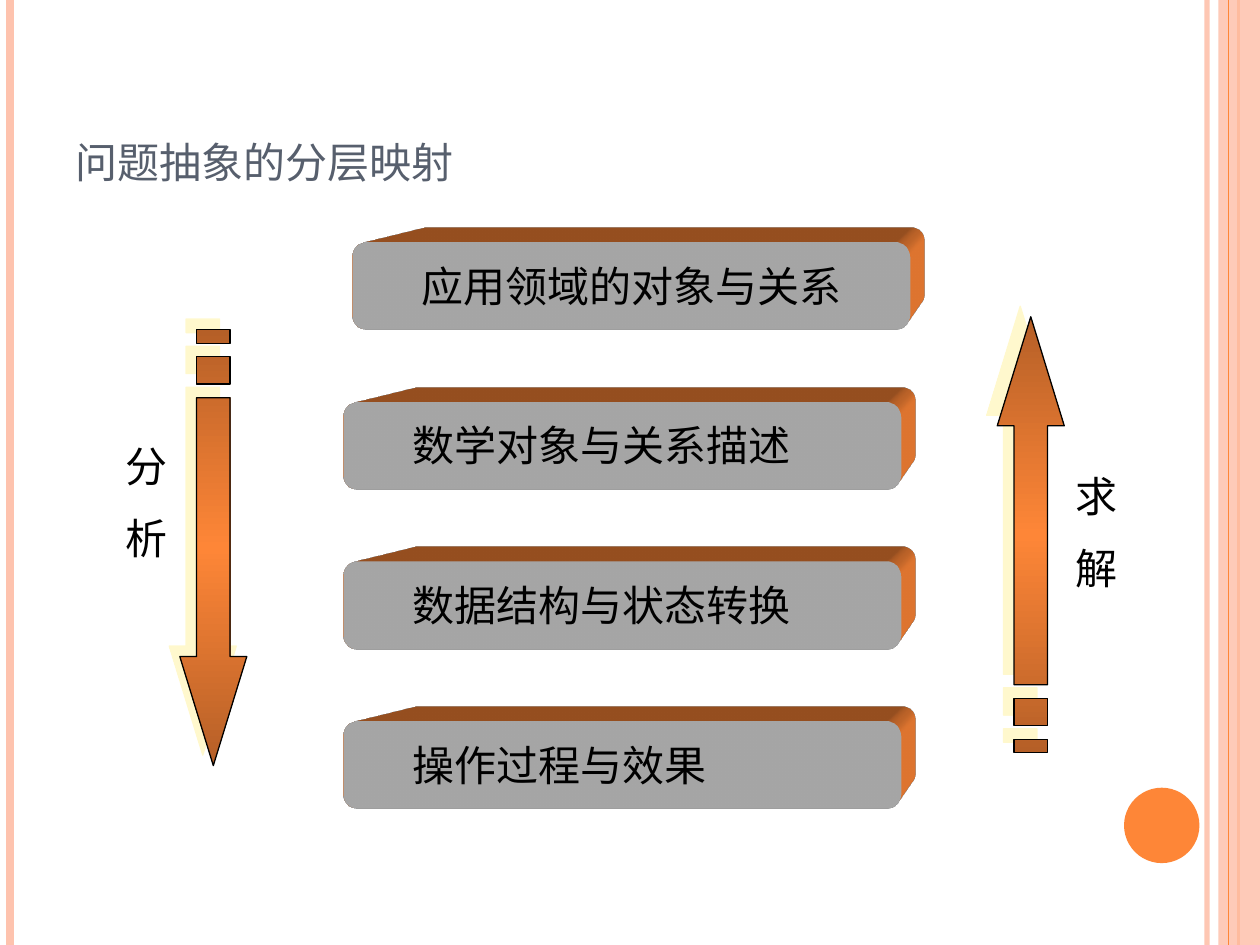
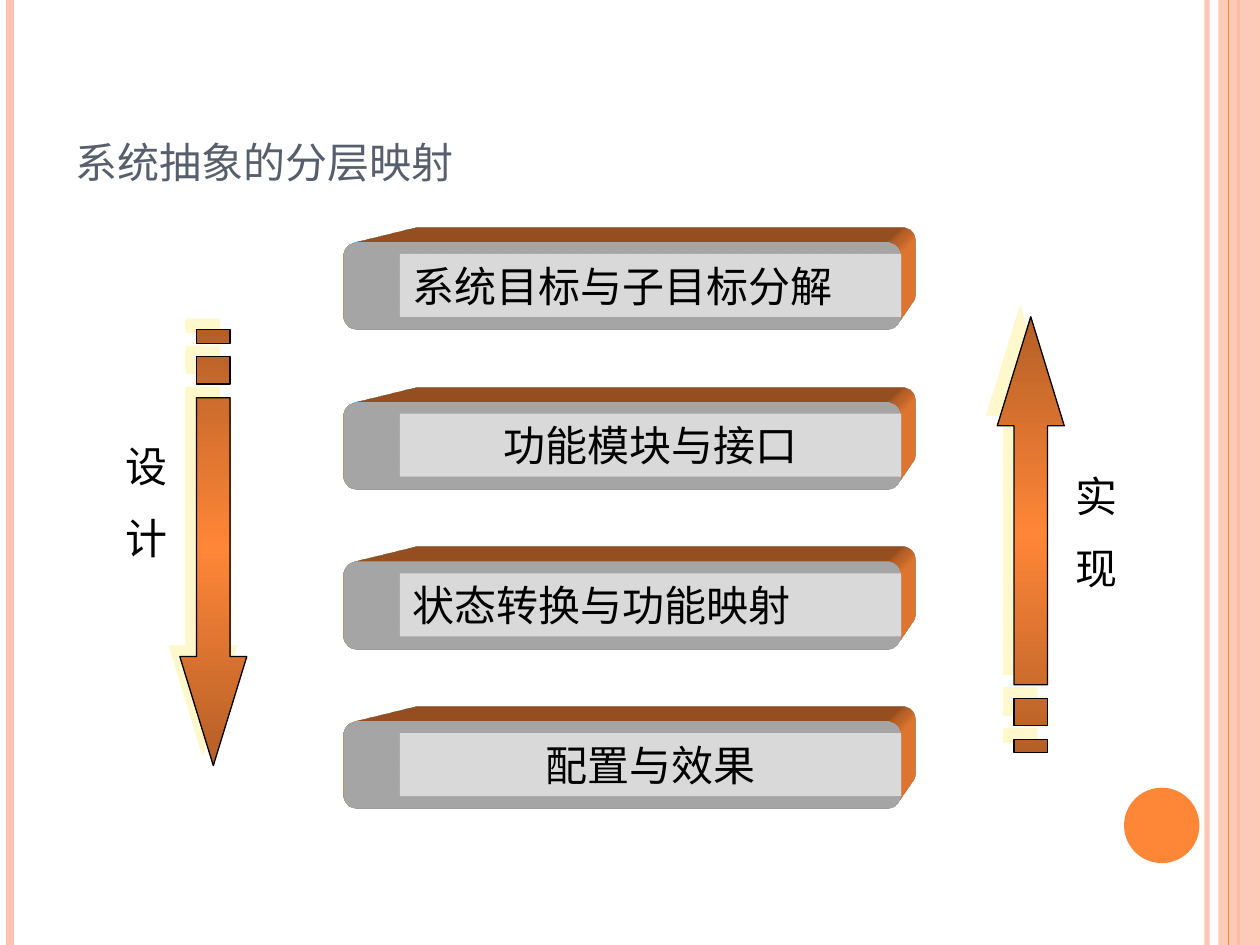
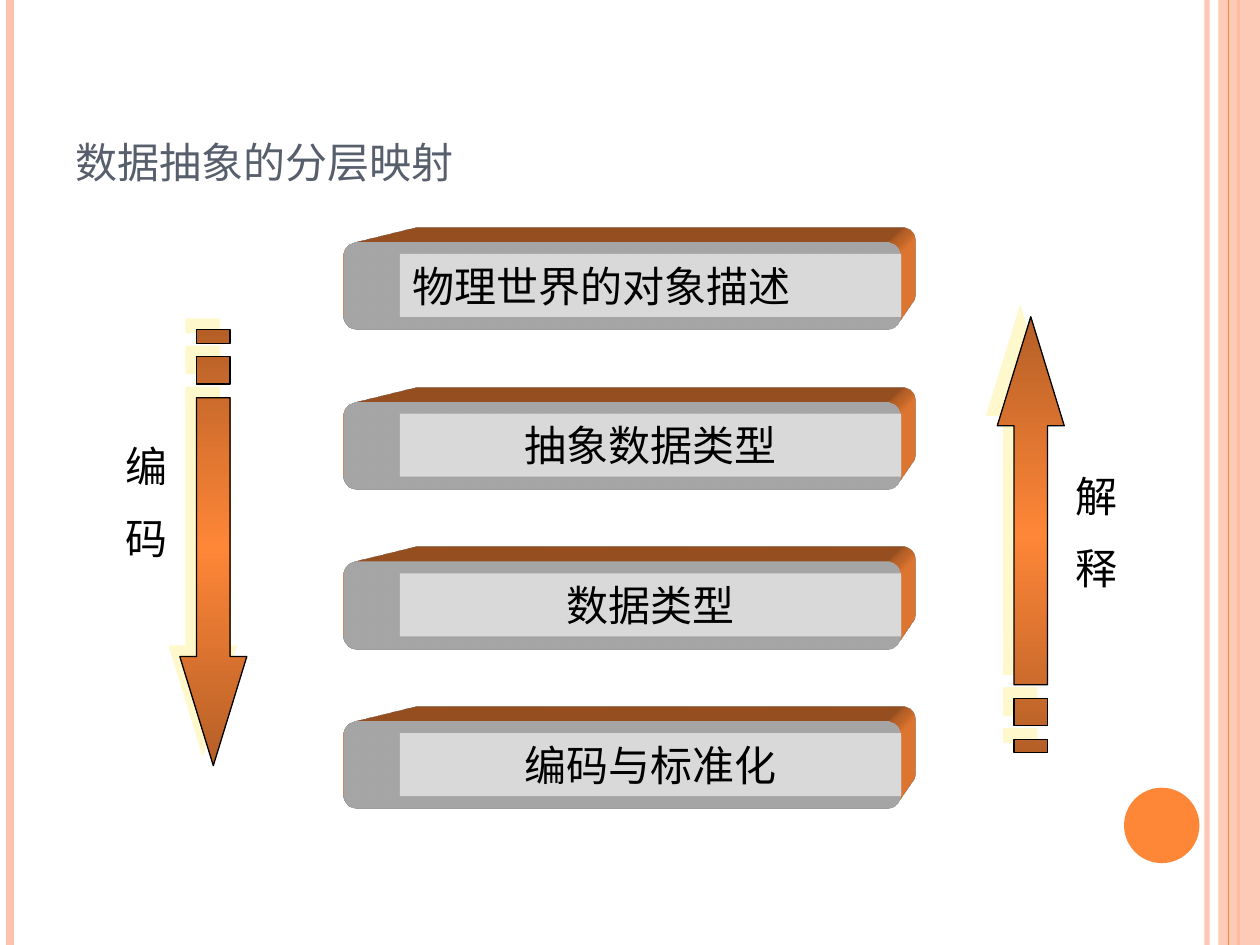
"""Build three slides on layered abstraction, with bars between two striped arrows."""
from dataclasses import dataclass

from lxml import etree
from pptx import Presentation, util as u
from pptx.dml.color import RGBColor
from pptx.enum import shapes, text

SLIDES = [
    {"title": "问题抽象的分层映射", "down": "分析", "up": "求解", "plates": False,
     "layers": [("应用领域的对象与关系", "left"), ("数学对象与关系描述", "left"),
                ("数据结构与状态转换", "left"), ("操作过程与效果", "left")]},
    {"title": "系统抽象的分层映射", "down": "设计", "up": "实现", "plates": True,
     "layers": [("系统目标与子目标分解", "left"), ("功能模块与接口", "center"),
                ("状态转换与功能映射", "left"), ("配置与效果", "center")]},
    {"title": "数据抽象的分层映射", "down": "编码", "up": "解释", "plates": True,
     "layers": [("物理世界的对象描述", "left"), ("抽象数据类型", "center"),
                ("数据类型", "center"), ("编码与标准化", "center")]},
]


@dataclass(frozen=True)
class Theme:
    accent: str = "FE8637"
    pale: str = "FEC3AE"
    bar: str = "D9D9D9"
    glow: str = "FFF39D"
    title: str = "575F6D"
    ink: str = "000000"
    title_font: str = "Cambria"
    body_font: str = "Times New Roman"
    title_size: int = 30
    body_size: int = 24


THEME = Theme()
ALIGN = {"left": text.PP_ALIGN.LEFT, "center": text.PP_ALIGN.CENTER}
A = "http://schemas.openxmlformats.org/drawingml/2006/main"

HEIGHT = 19.05
BAR_LEFT, BAR_TOP, BAR_PITCH = 6.92, 4.9, 3.22
BAR_SIZE = (11.23, 1.75)
SHIFTED_LEFT = 7.1
LABEL_INSET = (1.14, 0.22)
LABEL_SIZE = (10.11, 1.27)
ARROW_LENGTH, ARROW_BREADTH = 8.79, 1.35
SIDE_SIZE = (1.32, 2.79)
SIDES = {"down": ((4.3, 11.04), 90, (2.29, 8.76)),
         "up": ((20.78, 10.78), 270, (21.44, 9.37))}
ARROW_OUTLINES = [
    [(5, 1), (24, 1), (24, 0), (32, 2), (24, 4), (24, 3), (5, 3)],
    [(2, 1), (4, 1), (4, 3), (2, 3)],
    [(0, 1), (1, 1), (1, 3), (0, 3)],
]

GRADIENT = f"""<a:gradFill xmlns:a="{A}" rotWithShape="1"><a:gsLst>
<a:gs pos="0"><a:srgbClr val="{THEME.accent}"><a:shade val="46275"/></a:srgbClr></a:gs>
<a:gs pos="50000"><a:srgbClr val="{THEME.accent}"/></a:gs>
<a:gs pos="100000"><a:srgbClr val="{THEME.accent}"><a:shade val="46275"/></a:srgbClr></a:gs>
</a:gsLst><a:lin ang="0" scaled="1"/></a:gradFill>"""
SHADOW = f"""<a:outerShdw xmlns:a="{A}" dist="107950" dir="13500000" algn="ctr" rotWithShape="0">
<a:srgbClr val="{THEME.glow}"><a:alpha val="50000"/></a:srgbClr></a:outerShdw>"""
SCENE = f"""<a:scene3d xmlns:a="{A}"><a:camera prst="legacyPerspectiveTopRight"/>
<a:lightRig rig="legacyFlat3" dir="b"/></a:scene3d>"""
EXTRUSION = f"""<a:sp3d xmlns:a="{A}" extrusionH="887400" prstMaterial="legacyMatte">
<a:bevelT w="13500" h="13500" prst="angle"/><a:bevelB w="13500" h="13500" prst="angle"/>
<a:extrusionClr><a:srgbClr val="{THEME.accent}"/></a:extrusionClr></a:sp3d>"""


def rgb(color):
    return RGBColor.from_string(color)


def box(place, size):
    return [u.Cm(value) for value in (*place, *size)]


def child(parent, tag, **attributes):
    return etree.SubElement(parent, f"{{{A}}}{tag}", attributes)


def set_opacity(part, percent):
    color = part._element.spPr.find(f".//{{{A}}}srgbClr")
    child(color, "alpha", val=str(percent * 1000))


def add_solid(layer, preset, place, size, color):
    solid = layer.add_shape(preset, *box(place, size))
    solid.shadow.inherit = False
    solid.fill.solid()
    solid.fill.fore_color.rgb = rgb(color)
    solid.line.fill.background()
    return solid


def add_rule(page, x, color, width):
    rule = page.shapes.add_connector(
        shapes.MSO_CONNECTOR.STRAIGHT, u.Cm(x), 0, u.Cm(x), u.Cm(HEIGHT))
    rule.line.color.rgb = rgb(color)
    rule.line.width = u.Pt(width)
    child(rule._element.spPr, "effectLst")
    return rule


def add_frame(page):
    set_opacity(add_rule(page, 24.33, THEME.pale, 3), 93)
    add_rule(page, 0.2, THEME.pale, 4.5)
    add_rule(page, 24.97, THEME.accent, 1.5)
    band = add_solid(page.shapes, shapes.MSO_SHAPE.RECTANGLE,
                     (24.56, 0), (0.84, HEIGHT), THEME.pale)
    set_opacity(band, 87)
    add_rule(page, 24.77, THEME.accent, 0.75)
    add_solid(page.shapes, shapes.MSO_SHAPE.OVAL, (22.66, 15.88), (1.52, 1.52), THEME.accent)


def format_run(run, font, size, color):
    run.font.name = font
    run.font.size = u.Pt(size)
    run.font.color.rgb = rgb(color)


def add_title(page, wording):
    title = page.shapes.add_textbox(*box((1.27, 0.76), (20.75, 3.18)))
    frame = title.text_frame
    frame.word_wrap = True
    frame.vertical_anchor = text.MSO_ANCHOR.BOTTOM
    frame.text = wording
    run = frame.paragraphs[0].runs[0]
    format_run(run, THEME.title_font, THEME.title_size, THEME.title)
    run.font._element.set("cap", "small")


def write_body(holder, wording, align="left"):
    frame = holder.text_frame
    frame.word_wrap = True
    frame.auto_size = text.MSO_AUTO_SIZE.SHAPE_TO_FIT_TEXT
    frame.vertical_anchor = text.MSO_ANCHOR.TOP
    frame.text = wording
    for paragraph in frame.paragraphs:
        paragraph.alignment = ALIGN[align]
        before = child(paragraph._p.get_or_add_pPr(), "spcBef")
        child(before, "spcPct", val="50000")
        format_run(paragraph.runs[0], THEME.body_font, THEME.body_size, THEME.ink)


def add_layer(page, place, wording, align, plated):
    layer = page.shapes.add_group_shape().shapes if plated else page.shapes
    bar = add_solid(layer, shapes.MSO_SHAPE.ROUNDED_RECTANGLE, place, BAR_SIZE, THEME.bar)
    for part in (SCENE, EXTRUSION):
        bar._element.spPr.append(etree.fromstring(part))
    label_place = [start + inset for start, inset in zip(place, LABEL_INSET)]
    if plated:
        label = add_solid(layer, shapes.MSO_SHAPE.RECTANGLE, label_place, LABEL_SIZE, THEME.bar)
    else:
        label = layer.add_textbox(*box(label_place, LABEL_SIZE))
    write_body(label, wording, align)


def add_striped_arrow(page, center, rotation):
    scale = (u.Cm(ARROW_LENGTH) / 32, u.Cm(ARROW_BREADTH) / 4)
    first, *stripes = ARROW_OUTLINES
    outline = page.shapes.build_freeform(*first[0], scale=scale)
    outline.add_line_segments(first[1:])
    for stripe in stripes:
        outline.move_to(*stripe[0])
        outline.add_line_segments(stripe[1:])
    arrow = outline.convert_to_shape(u.Cm(center[0] - ARROW_LENGTH / 2),
                                     u.Cm(center[1] - ARROW_BREADTH / 2))
    arrow.rotation = rotation
    arrow.line.color.rgb = rgb(THEME.ink)
    arrow.line.width = u.Pt(0.75)
    arrow.shadow.inherit = False
    properties = arrow._element.spPr
    properties.find(f"{{{A}}}ln").addprevious(etree.fromstring(GRADIENT))
    properties.find(f"{{{A}}}effectLst").append(etree.fromstring(SHADOW))


def add_slide(deck, content):
    page = deck.slides.add_slide(deck.slide_layouts[6])
    add_frame(page)
    add_title(page, content["title"])
    plated = content["plates"]
    for row, (wording, align) in enumerate(content["layers"]):
        left = SHIFTED_LEFT if row == 0 and not plated else BAR_LEFT
        add_layer(page, (left, BAR_TOP + row * BAR_PITCH), wording, align, plated)
    for side, (center, rotation, place) in SIDES.items():
        add_striped_arrow(page, center, rotation)
        caption = page.shapes.add_textbox(*box(place, SIDE_SIZE))
        write_body(caption, "\n".join(content[side]))


def main():
    deck = Presentation()
    deck.slide_width, deck.slide_height = u.Cm(25.4), u.Cm(HEIGHT)
    for content in SLIDES:
        add_slide(deck, content)
    deck.save("out.pptx")


if __name__ == "__main__":
    main()
